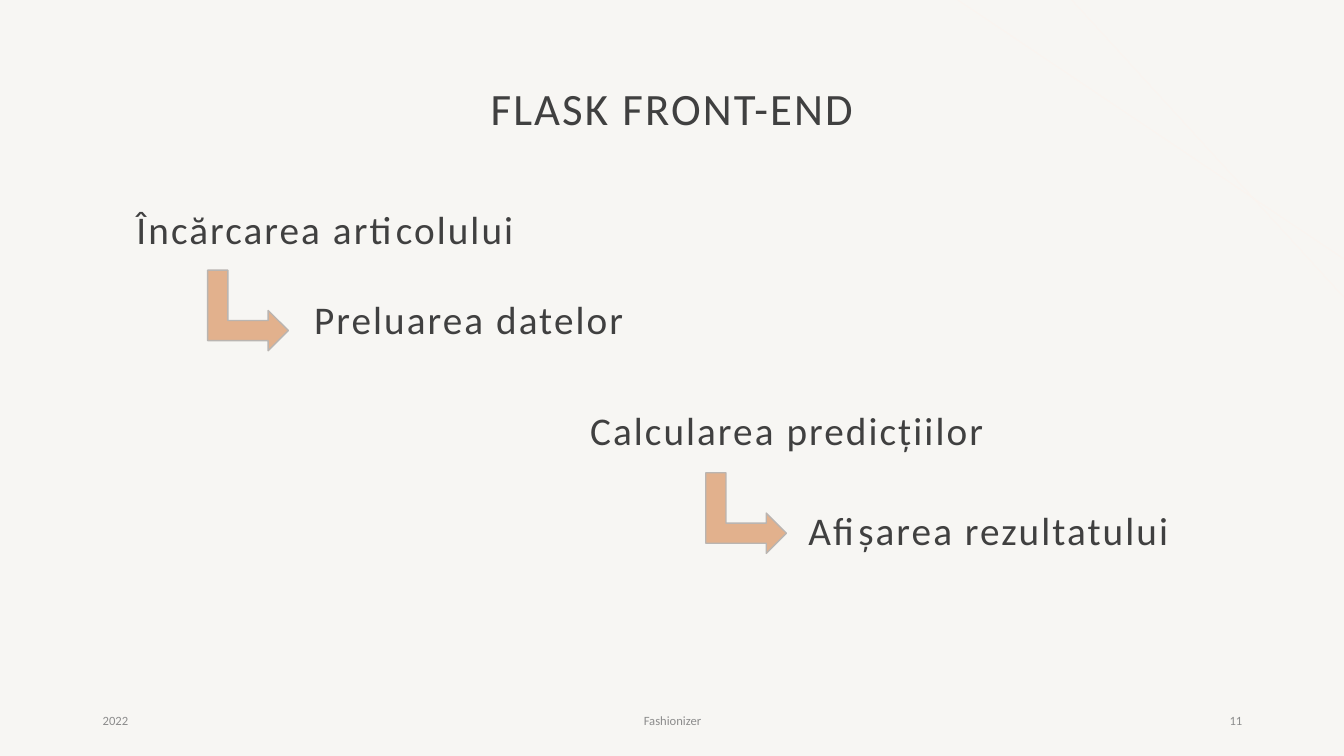
from lxml import etree
from pptx import Presentation
from pptx import util as u
from pptx.dml.color import RGBColor
from pptx.enum import shapes, text
from pptx.oxml import ns

PX = 9144  # EMU per px, 100 px to the inch
FONT = "Calibri"
PAPER = RGBColor(0xF7, 0xF6, 0xF3)
INK = RGBColor(0x40, 0x40, 0x40)
GREY = RGBColor(0x8C, 0x8C, 0x8C)
PEACH = RGBColor(0xE2, 0xB1, 0x8D)
STONE = RGBColor(0xBA, 0xB5, 0xB1)
BLUSH = RGBColor(0xFB, 0xF4, 0xEF)

STEPS = [
    ("Încărcarea articolului", (102, 208, 441, 51), 0.8),
    ("Preluarea datelor", (286, 293, 358, 63), 0.9),
    ("Calcularea predicțiilor", (560, 403, 441, 54), 0.9),
    ("Afișarea rezultatului", (780, 503, 401, 54), 0.9),
]
FOOTERS = [
    ("2022", (92, 695, 300, 40), text.PP_ALIGN.LEFT),
    ("Fashionizer", (442, 695, 450, 40), text.PP_ALIGN.CENTER),
    ("11", (942, 695, 300, 40), text.PP_ALIGN.RIGHT),
]
ARROWS = [(206, 268), (700, 469)]
ARROW_SIZE = 80
CORNER_LINES = [(950, 0, 1333, 257), (1063, 0, 1333, 295)]


def emu(box):
    return [v * PX for v in box]


def write(tf, words, size, color, align, anchor):
    tf.word_wrap = True
    tf.auto_size = text.MSO_AUTO_SIZE.NONE
    tf.vertical_anchor = anchor
    p = tf.paragraphs[0]
    p.alignment = align
    p.space_before = u.Pt(0)
    r = p.add_run()
    r.text = words
    r.font.name = FONT
    r.font.size = u.Pt(size)
    r.font.bold = False
    r.font.color.rgb = color
    return p


def fill_placeholder(sp, words, box, size, line_spacing, anchor):
    """Move a title or body placeholder and give it letter-spaced text without a bullet."""
    sp.left, sp.top, sp.width, sp.height = emu(box)
    p = write(sp.text_frame, words, size, INK, text.PP_ALIGN.CENTER, anchor)
    p.line_spacing = line_spacing
    pPr = p._p.get_or_add_pPr()
    pPr.set("marL", "0")
    pPr.set("indent", "0")
    etree.SubElement(pPr, ns.qn("a:buNone"))
    p.runs[0].font._element.set("spc", "150")


def add_footer(s, words, box, align):
    sp = s.shapes.add_textbox(*emu(box))
    write(sp.text_frame, words, 9, GREY, align, text.MSO_ANCHOR.MIDDLE)


def add_step_arrow(s, left, top):
    sp = s.shapes.add_shape(shapes.MSO_SHAPE.BENT_UP_ARROW,
                            *emu((left, top, ARROW_SIZE, ARROW_SIZE)))
    sp.rotation = 90
    sp.shadow.inherit = False
    sp.fill.solid()
    sp.fill.fore_color.rgb = PEACH
    sp.line.color.rgb = STONE
    sp.line.width = u.Pt(1)


def add_corner_line(s, ends):
    line = s.shapes.add_connector(shapes.MSO_CONNECTOR.STRAIGHT, *emu(ends))
    line.line.color.rgb = BLUSH
    line.line.width = u.Pt(0.5)
    etree.SubElement(line._element.spPr, ns.qn("a:effectLst"))


def main():
    prs = Presentation()
    prs.slide_width, prs.slide_height = emu((1333, 750))
    s = prs.slides.add_slide(prs.slide_layouts.get_by_name("Comparison"))
    s.background.fill.solid()
    s.background.fill.fore_color.rgb = PAPER

    for ends in CORNER_LINES:
        add_corner_line(s, ends)
    title, *bodies = s.placeholders
    fill_placeholder(title, "FLASK FRONT-END", (206, 38, 921, 145), 32, 0.9,
                     text.MSO_ANCHOR.MIDDLE)
    for sp, (words, box, line_spacing) in zip(bodies, STEPS):
        fill_placeholder(sp, words, box, 28, line_spacing, text.MSO_ANCHOR.TOP)
    for words, box, align in FOOTERS:
        add_footer(s, words, box, align)
    for left, top in ARROWS:
        add_step_arrow(s, left, top)

    prs.save("out.pptx")


if __name__ == "__main__":
    main()
